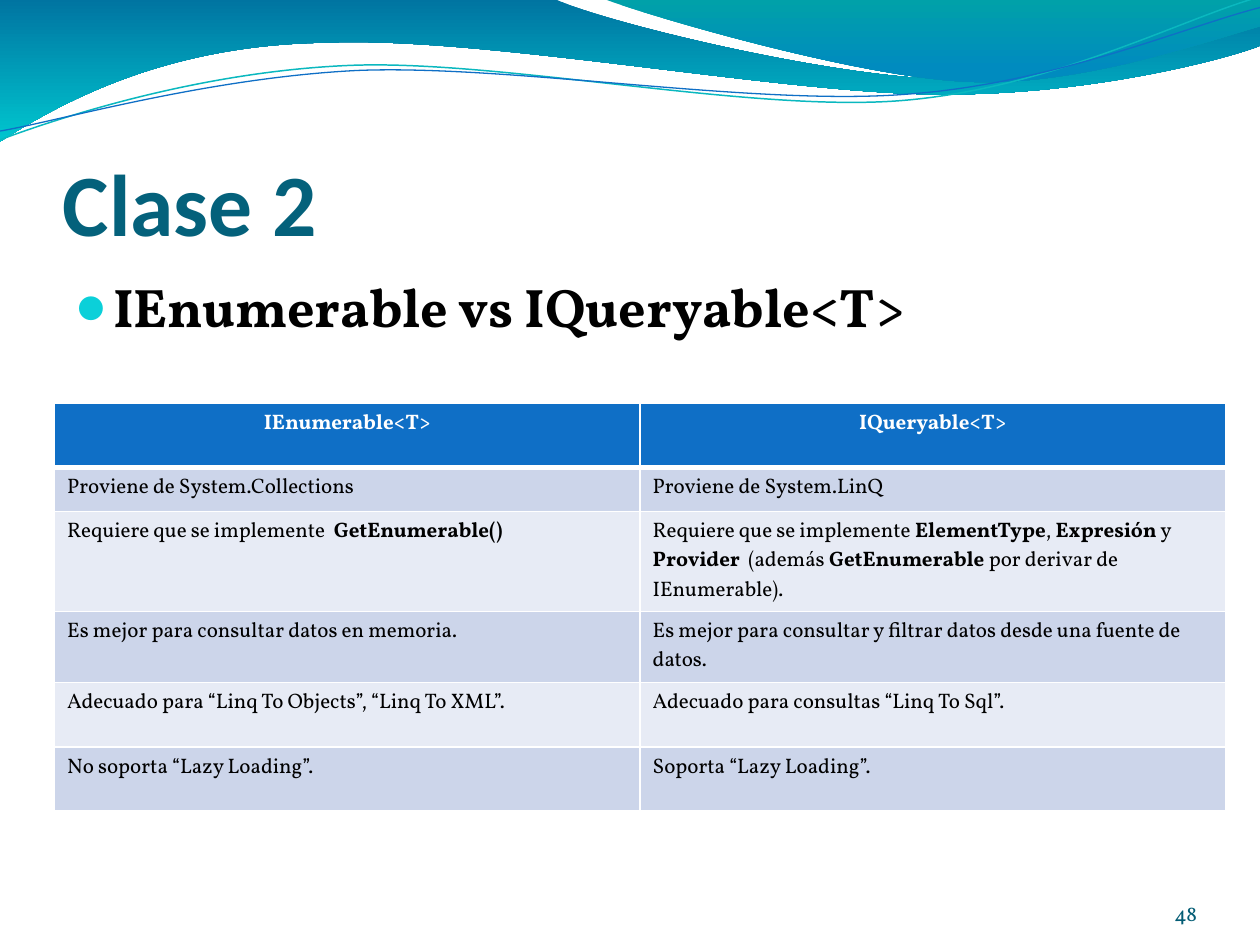
import math

from lxml import etree
from pptx import Presentation
from pptx import util as u
from pptx.dml.color import RGBColor
from pptx.enum import text
from pptx.oxml import ns

Pt = u.Pt
WHITE = RGBColor(0xFF, 0xFF, 0xFF)
BLACK = RGBColor(0, 0, 0)
BLUE = RGBColor(0x0F, 0x6F, 0xC6)
TEAL = RGBColor(0x0A, 0xB8, 0xBF)
TITLE = RGBColor(0x04, 0x61, 0x7B)
NUMBER = RGBColor(0x04, 0x5D, 0x75)
BULLET = RGBColor(0x0B, 0xD0, 0xD9)
BANDS = (RGBColor(0xCC, 0xD5, 0xEA), RGBColor(0xE7, 0xEB, 0xF5))
# Gradient stops: position, colour, opacity in percent
BACK_WAVE = ((0, RGBColor(0x00, 0x74, 0xA1), 45),
             (1, RGBColor(0x00, 0xC6, 0xCF), 55))
FRONT_WAVE = ((0, RGBColor(0x00, 0xA1, 0xA9), 30),
              (0.8, RGBColor(0x00, 0x8B, 0xBF), 45))
TILT = 357.3

# Each step holds one point (line) or three points (Bezier curve)
BACK_OUTLINE = [
    (0, 0), (316.8, -0.7),
    (342.7, 12.2, 478.1, 45.4, 545.8, 45.4),
    (614.2, 45.4, 689.8, 18.7, 720, 6.5),
    (720.7, 25.9),
    (707.8, 31.7, 626.4, 54.7, 537.1, 54),
    (447.8, 54, 275, 20.2, 185, 24.5),
    (92.9, 25.9, 33.1, 59.8, -0.7, 81.4),
    (0, 0)]
FRONT_OUTLINE = [
    (344.9, -0.7),
    (366.5, 7.9, 491, 44.6, 553.7, 46.8),
    (616.3, 49.7, 691.9, 23, 720, 15.1),
    (720, 0), (344.9, -0.7)]
TEAL_CURVE = [
    (0, 79.9),
    (34.6, 67, 113.8, 41, 199.4, 37.4),
    (284.4, 33.8, 427, 64.1, 513.4, 57.6),
    (599.8, 51.1, 675.4, 10.8, 718.6, -1.4)]
BLUE_CURVE = [
    (0, 74.9),
    (33.8, 69.1, 118.1, 44.6, 203.8, 40.3),
    (290.2, 36.7, 429.8, 60.5, 516.2, 54),
    (601.9, 48.2, 677.5, 15.1, 720, 4.3)]

# Bold parts stand between asterisks
ROWS = [
    ("*IEnumerable<T>*", "*IQueryable<T>*"),
    ("Proviene de System.Collections", "Proviene de System.LinQ"),
    ("Requiere que se implemente  *GetEnumerable()*",
     "Requiere que se implemente *ElementType*, *Expresión* y *Provider*"
     "  (además *GetEnumerable* por derivar de IEnumerable)."),
    ("Es mejor para consultar datos en memoria.",
     "Es mejor para consultar y filtrar datos desde una fuente de datos."),
    ("Adecuado para “Linq To Objects”, “Linq To XML”.",
     "Adecuado para consultas “Linq To Sql”."),
    ("No soporta “Lazy Loading”.", "Soporta “Lazy Loading”.")]
ROW_HEIGHTS = (36.7, 25.2, 57.2, 40.6, 36.7, 36.7)


def sub(parent, tag, **attrs):
    return etree.SubElement(parent, ns.qn(tag), attrs)


def turn(x, y, box, degrees):
    """Turn a point about the middle of a box."""
    cx, cy = box[0] + box[2] / 2, box[1] + box[3] / 2
    c, s = math.cos(math.radians(degrees)), math.sin(math.radians(degrees))
    return cx + (x - cx) * c - (y - cy) * s, cy + (x - cx) * s + (y - cy) * c


class Deck:
    body_font = "Vollkorn"
    head_font = "Calibri"

    def __init__(self, prs):
        self.s = prs.slides.add_slide(prs.slide_layouts[6])

    def outline(self, steps, box, close=False, rotation=0):
        ends = [(Pt(step[-2]), Pt(step[-1])) for step in steps]
        fb = self.s.shapes.build_freeform(*ends[0])
        fb.add_line_segments(ends[1:], close=close)
        sp = fb.convert_to_shape()
        sp.shadow.inherit = False
        sp.left, sp.top, sp.width, sp.height = map(Pt, box)
        sp.rotation = rotation
        # Fit the drawing to the box and bend its segments
        geom = next(sp._element.iter(ns.qn("a:path")))
        geom.set("w", str(sp.width))
        geom.set("h", str(sp.height))
        for seg, step in zip(list(geom), steps):
            if len(step) == 6:
                seg_new = etree.Element(ns.qn("a:cubicBezTo"))
                geom.replace(seg, seg_new)
                seg = seg_new
            for pt in list(seg):
                seg.remove(pt)
            for point in zip(step[::2], step[1::2]):
                x, y = turn(*point, box, -rotation)
                sub(seg, "a:pt", x=str(Pt(x - box[0])), y=str(Pt(y - box[1])))
        return sp

    def wave(self, steps, box, stops):
        sp = self.outline(steps, box, close=True)
        sp.line.fill.background()
        sp.fill.gradient()
        sp.fill.gradient_angle = 270
        colors = sp._element.spPr.iter(ns.qn("a:srgbClr"))
        for stop, (pos, color, _) in zip(sp.fill.gradient_stops, stops):
            stop.position = pos
            stop.color.rgb = color
        for clr, (_, _, opacity) in zip(list(colors), stops):
            sub(clr, "a:alpha", val=str(opacity * 1000))

    def curve(self, steps, box, color, width):
        sp = self.outline(steps, box, rotation=TILT)
        sp.fill.background()
        sp.line.color.rgb = color
        sp.line.width = Pt(width)

    def runs(self, p, words, size, color, font=None):
        for i, part in enumerate(words.split("*")):
            if part:
                r = p.add_run()
                r.text = part
                r.font.size = Pt(size)
                r.font.name = font or self.body_font
                r.font.bold = i % 2 == 1
                r.font.color.rgb = color

    def text(self, box, words, size, color, font=None, insets=(7.2, 3.6, 7.2, 3.6),
             anchor=text.MSO_ANCHOR.TOP, align=text.PP_ALIGN.LEFT):
        tf = self.s.shapes.add_textbox(*map(Pt, box)).text_frame
        tf.word_wrap = True
        tf.vertical_anchor = anchor
        tf.margin_left, tf.margin_top, tf.margin_right, tf.margin_bottom = map(Pt, insets)
        p = tf.paragraphs[0]
        p.alignment = align
        self.runs(p, words, size, color, font)
        return p

    def bullet(self, box, words, size, color):
        pPr = self.text(box, words, size, color)._p.get_or_add_pPr()
        pPr.set("marL", str(Pt(21.6)))
        pPr.set("indent", str(-Pt(21.6)))
        sub(sub(pPr, "a:buClr"), "a:srgbClr", val=str(BULLET))
        sub(pPr, "a:buSzPct", val="95000")
        sub(pPr, "a:buFont", typeface=self.head_font)
        sub(pPr, "a:buChar", char="●")

    def borders(self, cell, top, bottom):
        tcPr = cell._tc.get_or_add_tcPr()
        sides = (("L", 1), ("R", 1), ("T", top), ("B", bottom))
        for i, (side, width) in enumerate(sides):
            ln = sub(tcPr, "a:ln" + side, w=str(Pt(width)))
            sub(sub(ln, "a:solidFill"), "a:srgbClr", val=str(WHITE))
            tcPr.insert(i, ln)

    def table(self, left, top, width, rows, heights):
        tbl = self.s.shapes.add_table(len(rows), len(rows[0]), Pt(left), Pt(top),
                                      Pt(width), Pt(sum(heights))).table
        for i, row in enumerate(rows):
            tbl.rows[i].height = Pt(heights[i])
            head = i == 0
            for j, words in enumerate(row):
                cell = tbl.cell(i, j)
                cell.fill.solid()
                cell.fill.fore_color.rgb = BLUE if head else BANDS[(i - 1) % 2]
                self.borders(cell, 3 if i == 1 else 1, 3 if head else 1)
                p = cell.text_frame.paragraphs[0]
                p.alignment = text.PP_ALIGN.CENTER if head else text.PP_ALIGN.LEFT
                self.runs(p, words, 12, WHITE if head else BLACK)


def main():
    prs = Presentation()
    prs.slide_width, prs.slide_height = Pt(720), Pt(540)
    deck = Deck(prs)

    # Waves along the top
    deck.wave(BACK_OUTLINE, (-0.7, -0.7, 721.4, 82.1), BACK_WAVE)
    deck.wave(FRONT_OUTLINE, (344.9, -0.7, 375.1, 50.4), FRONT_WAVE)
    deck.curve(TEAL_CURVE, (-1.4, 15.8, 721.4, 51.1), TEAL, 0.85)
    deck.curve(BLUE_CURVE, (-1.4, 21.6, 722.2, 41.8), BLUE, 0.75)

    # Title and subject
    deck.text((36, 55.4, 648, 90), "*Clase 2*", 50, TITLE, deck.head_font,
              (0, 3.6, 0, 0), text.MSO_ANCHOR.BOTTOM)
    deck.bullet((36, 152.6, 648, 345.6), "*IEnumerable vs IQueryable<T>*", 31, BLACK)

    # Comparison
    deck.table(31.2, 230.4, 669.2, ROWS, ROW_HEIGHTS)

    # Page number
    deck.text((624, 500.4, 60, 28.8), "48", 12, NUMBER, insets=(0, 0, 0, 0),
              anchor=text.MSO_ANCHOR.BOTTOM, align=text.PP_ALIGN.RIGHT)

    prs.save("out.pptx")


if __name__ == "__main__":
    main()
